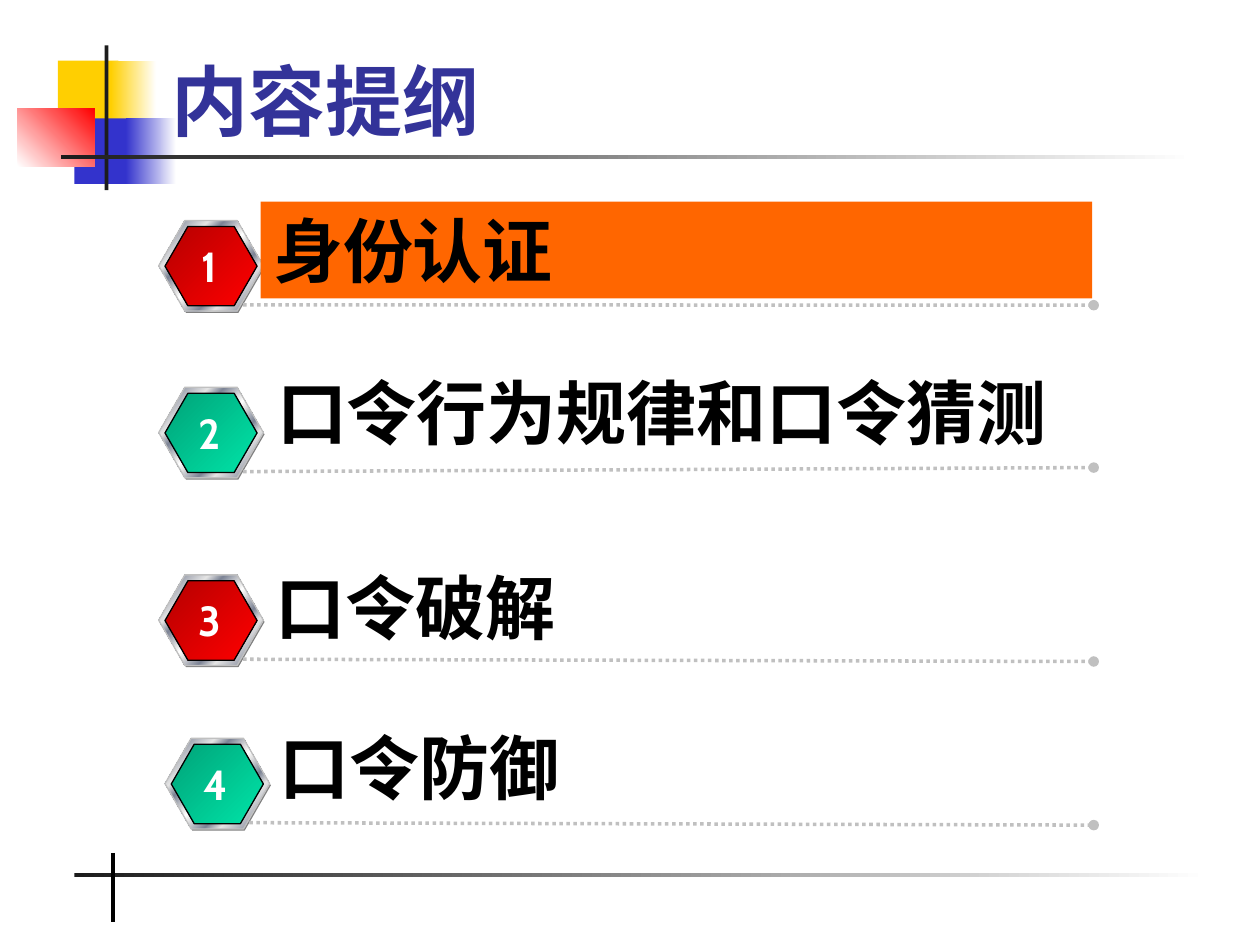
"""Build the outline slide: a title, four numbered topics and block decoration."""
import lxml.etree
import pptx
import pptx.dml.color
import pptx.enum.dml
import pptx.enum.shapes
import pptx.enum.text
import pptx.oxml.ns
import pptx.util

Pt = pptx.util.Pt
RGB = pptx.dml.color.RGBColor
SHAPE = pptx.enum.shapes.MSO_SHAPE
ALIGN = pptx.enum.text.PP_ALIGN
ANCHOR = pptx.enum.text.MSO_ANCHOR
FIT = pptx.enum.text.MSO_AUTO_SIZE
qn = pptx.oxml.ns.qn

WHITE, BLACK, INK = RGB(255, 255, 255), RGB(0, 0, 0), RGB(0x1C, 0x1C, 0x1C)
YELLOW, BLUE, RED = RGB(0xFF, 0xCF, 0x01), RGB(0x33, 0x33, 0xCC), RGB(255, 0, 0)
TITLE_BLUE, ORANGE = RGB(0x33, 0x33, 0x99), RGB(0xFF, 0x66, 0)
GREY, SILVER = RGB(0x80, 0x80, 0x80), RGB(0xC0, 0xC0, 0xC0)
PALE, STEEL = RGB(0xE6, 0xE6, 0xE6), RGB(0x7D, 0x84, 0x96)
DARK_RED, DARK_GREEN, GREEN = RGB(0xB6, 0, 0), RGB(0, 0xA3, 0x78), RGB(0, 0xE4, 0xA8)

TITLE = "内容提纲"
TOPICS = [
    {"text": "身份认证", "badge": (90.7, 126), "label": (149, 115.2, 475.2),
     "rule_end": 174.4, "font": "Times New Roman", "bar": ORANGE},
    {"text": "口令行为规律和口令猜测", "badge": (90.7, 221.3), "label": (151.2, 207.4, 473.8),
     "rule_end": 267.2, "font": "Cabin", "bar": None},
    {"text": "口令破解", "badge": (90.7, 328.5), "label": (150.5, 319, 460),
     "rule_end": 378, "font": "Cabin", "bar": None},
    {"text": "口令防御", "badge": (94.3, 421.9), "label": (152.6, 410.4, 442),
     "rule_end": 471.5, "font": "Cabin", "bar": None},
]
BADGE_FILLS = [[(0, DARK_RED), (100, RED)], [(0, DARK_GREEN), (100, GREEN)]]
METAL = [(0, PALE), (7, STEEL), (26, PALE), (34, STEEL), (46, PALE), (50, WHITE),
         (54, PALE), (66, STEEL), (74, PALE), (93, STEEL), (100, PALE)]
INK_FADE = [(0, INK), (100, WHITE)]
DECOR = [
    ((33.1, 34.6, 34.6, 37.4), YELLOW, 0),
    ((63.4, 34.6, 25.9, 37.4), [(0, YELLOW), (100, WHITE)], 0),
    ((42.5, 67.7, 33.1, 37.4), BLUE, 0),
    ((72, 67.7, 28.8, 37.4), [(0, BLUE), (100, WHITE)], 0),
    ((10.1, 61.9, 43.9, 33.1), [(0, WHITE), (100, RED)], 45),
    ((59.8, 25.9, 2.2, 82.8), INK, 0),
    ((34.6, 88.6, 648, 2.2), INK_FADE, 0),
    ((42.5, 499, 648, 2.2), INK_FADE, 0),
]
RULE_RIGHT = 625


def paint(shape, fill, angle=0, outline=None):
    shape.shadow.inherit = False
    if fill is None:
        shape.fill.background()
    elif isinstance(fill, RGB):
        shape.fill.solid()
        shape.fill.fore_color.rgb = fill
    else:
        shape.fill.gradient()
        shape.fill.gradient_angle = angle
        stops = shape.element.spPr.find(".//" + qn("a:gsLst"))
        for old in list(stops):
            stops.remove(old)
        for position, colour in fill:
            stop = lxml.etree.SubElement(stops, qn("a:gs"), pos=str(position * 1000))
            lxml.etree.SubElement(stop, qn("a:srgbClr"), val=str(colour))
    if outline is None:
        shape.line.fill.background()
    else:
        shape.line.color.rgb = outline
        shape.line.width = Pt(0.75)


def add_block(shapes, kind, box, fill, angle=0, outline=None):
    block = shapes.add_shape(kind, *map(Pt, box))
    paint(block, fill, angle, outline)
    return block


def write(shape, text, frame_format, font_format, colour, align=ALIGN.LEFT):
    frame = shape.text_frame
    frame.text = text
    for name, value in frame_format.items():
        setattr(frame, name, value)
    paragraph = frame.paragraphs[0]
    paragraph.alignment = align
    font = paragraph.runs[0].font
    for name, value in font_format.items():
        setattr(font, name, value)
    font.color.rgb = colour


def add_rule(shapes, ends, colour, width, dotted=False):
    rule = shapes.add_connector(pptx.enum.shapes.MSO_CONNECTOR.STRAIGHT, *map(Pt, ends))
    rule.line.color.rgb = colour
    rule.line.width = Pt(width)
    properties = rule.element.spPr
    if dotted:
        rule.line.dash_style = pptx.enum.dml.MSO_LINE.ROUND_DOT
        lxml.etree.SubElement(properties.find(qn("a:ln")), qn("a:tailEnd"), type="oval")
    lxml.etree.SubElement(properties, qn("a:effectLst"))


def add_badge(shapes, left, top, fill):
    hexagons = shapes.add_group_shape().shapes
    layers = [
        ((left + 0.7, top + 1, 59.8, 51.8), GREY, None),
        ((left, top, 59.8, 51.8), METAL, SILVER),
        ((left + 3.6, top + 3.4, 52.6, 45.4), fill, BLACK),
    ]
    for box, layer_fill, outline in layers:
        hexagon = add_block(hexagons, SHAPE.HEXAGON, box, layer_fill, 315, outline)
        hexagon.adjustments[0] = 0.289


def add_topic(shapes, number, topic):
    left, top = topic["badge"]
    label_left, label_top, label_width = topic["label"]
    add_badge(shapes, left, top, BADGE_FILLS[(number - 1) % 2])
    add_rule(shapes, (left + 48.2, top + 48.2, RULE_RIGHT, topic["rule_end"]), SILVER, 2, True)
    label_box = (label_left, label_top, label_width, 55.4)
    if topic["bar"]:
        label = add_block(shapes, SHAPE.RECTANGLE, label_box, topic["bar"])
    else:
        label = shapes.add_textbox(*map(Pt, label_box))
    write(label, topic["text"],
          {"word_wrap": True, "auto_size": FIT.SHAPE_TO_FIT_TEXT, "vertical_anchor": ANCHOR.TOP},
          {"size": Pt(40), "bold": True, "name": topic["font"]}, BLACK)
    numeral = shapes.add_textbox(Pt(left + 15.1), Pt(top + 7.9), Pt(28.1), Pt(36))
    write(numeral, str(number), {"word_wrap": False, "auto_size": FIT.SHAPE_TO_FIT_TEXT},
          {"size": Pt(24), "bold": True, "name": "Cabin"}, WHITE, ALIGN.CENTER)


def main():
    deck = pptx.Presentation()
    deck.slide_width, deck.slide_height = Pt(720), Pt(540)
    slide = deck.slides.add_slide(deck.slide_layouts[5])
    shapes = slide.shapes
    for box, fill, angle in DECOR:
        add_block(shapes, SHAPE.RECTANGLE, box, fill, angle)
    add_rule(shapes, (64.8, 487.4, 64.8, 527), BLACK, 2.25)

    title = shapes.title
    place = {"left": 90.7, "top": 11.5, "width": 613.4, "height": 75.6}
    for name, value in place.items():
        setattr(title, name, Pt(value))
    write(title, TITLE, {"vertical_anchor": ANCHOR.BOTTOM, "word_wrap": True},
          {"size": Pt(44), "bold": True, "name": "Times New Roman"}, TITLE_BLUE)
    title.element.getparent().append(title.element)

    for number, topic in enumerate(TOPICS, 1):
        add_topic(shapes, number, topic)
    deck.save("out.pptx")


if __name__ == "__main__":
    main()
